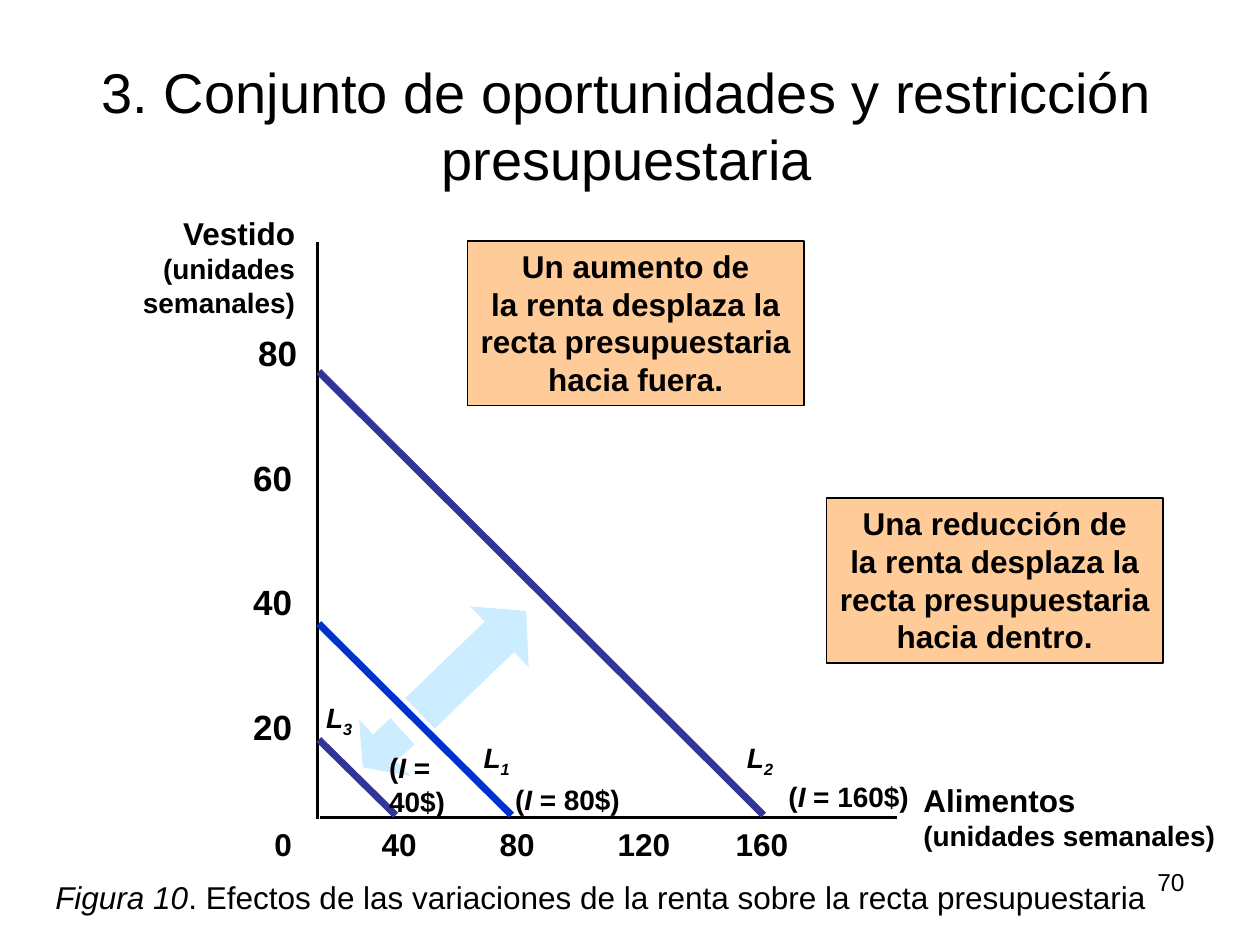
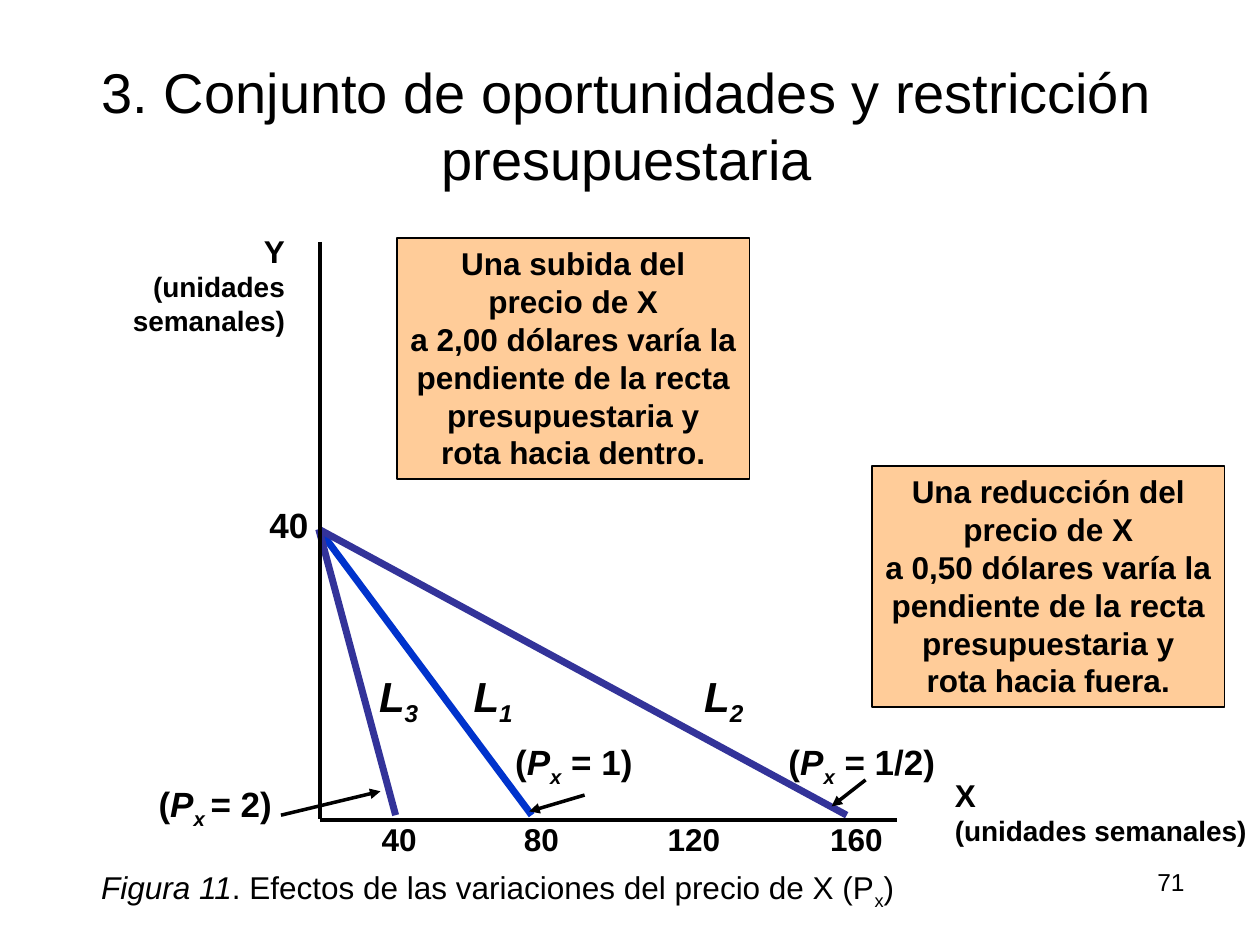
import pptx
import pptx.dml.color
import pptx.enum.shapes
import pptx.enum.text
import pptx.oxml
import pptx.oxml.ns
import pptx.util
from pptx.util import Inches

# Shared style
FONT = "Arial"
BLACK, PEACH, SKY = "000000", "FFCC99", "CCECFF"
INDIGO, BLUE = "333399", "0033CC"
TITLE = "3. Conjunto de oportunidades y restricción presupuestaria"
UNITS = "(unidades semanales)"
LEFT = pptx.enum.text.PP_ALIGN.LEFT
CENTER = pptx.enum.text.PP_ALIGN.CENTER
RIGHT = pptx.enum.text.PP_ALIGN.RIGHT


def color(value):
    return pptx.dml.color.RGBColor.from_string(value)


def add_run(paragraph, text, size, bold=False, style=""):
    """Style letters: i = italic, s = subscript."""
    run = paragraph.add_run()
    run.text = text
    font = run.font
    font.name = FONT
    font.size = pptx.util.Pt(size)
    font.bold = bold
    font.italic = "i" in style
    font.color.rgb = color(BLACK)
    if "s" in style:
        run._r.get_or_add_rPr().set("baseline", "-25000")


def fill_text(frame, lines, align=LEFT, bold=True, wrap=False):
    """Each line is a pair: size and a list of (text, style) runs."""
    frame.word_wrap = wrap
    frame.auto_size = pptx.enum.text.MSO_AUTO_SIZE.SHAPE_TO_FIT_TEXT
    for index, (size, runs) in enumerate(lines):
        paragraph = frame.add_paragraph() if index else frame.paragraphs[0]
        paragraph.alignment = align
        for text, style in runs:
            add_run(paragraph, text, size, bold, style)


def add_text(slide, left, top, width, height, lines, **options):
    box = slide.shapes.add_textbox(Inches(left), Inches(top), Inches(width), Inches(height))
    fill_text(box.text_frame, lines, **options)
    return box


def add_tick(slide, left, top, text, size=18):
    width = {1: 0.34, 2: 0.48, 3: 0.63}[len(text)] + (size - 18) * 0.015
    add_text(slide, left, top, width, size * 0.0165 + 0.1, [(size, [(text, "")])])


def add_line(slide, start, end, line_color=BLACK, width=2, arrow=False):
    connector = slide.shapes.add_connector(
        pptx.enum.shapes.MSO_CONNECTOR.STRAIGHT,
        *(Inches(value) for value in (*start, *end)))
    connector.line.color.rgb = color(line_color)
    connector.line.width = pptx.util.Pt(width)
    properties = connector._element.spPr
    if arrow:
        head = pptx.oxml.parse_xml(
            f'<a:tailEnd {pptx.oxml.ns.nsdecls("a")} type="triangle"/>')
        connector.line._get_or_add_ln().append(head)
    properties.append(pptx.oxml.parse_xml(
        f'<a:effectLst {pptx.oxml.ns.nsdecls("a")}/>'))


def paint(shape, fill, outline=None):
    shape.shadow.inherit = False
    shape.fill.solid()
    shape.fill.fore_color.rgb = color(fill)
    if outline:
        shape.line.color.rgb = color(outline)
        shape.line.width = pptx.util.Pt(1)
    else:
        shape.line.fill.background()


def add_callout(slide, left, top, width, height, lines):
    box = slide.shapes.add_shape(
        pptx.enum.shapes.MSO_SHAPE.RECTANGLE,
        Inches(left), Inches(top), Inches(width), Inches(height))
    paint(box, PEACH, BLACK)
    fill_text(box.text_frame, [(18, [(line, "")]) for line in lines], align=CENTER)
    box.text_frame.vertical_anchor = pptx.enum.text.MSO_ANCHOR.TOP


def add_curve_name(slide, left, top, number, size):
    width, height = (0.42, 0.36) if size == 16 else (0.52, 0.5)
    add_text(slide, left, top, width, height, [(size, [("L", "i"), (number, "is")])])


def add_axis_titles(slide, vertical, vertical_at, horizontal, horizontal_at):
    add_text(slide, *vertical_at, 1.44, 0.93,
             [(18, [(vertical, "")]), (16, [(UNITS, "")])], align=RIGHT, wrap=True)
    add_text(slide, *horizontal_at, 2.52, 0.66,
             [(18, [(horizontal, "")]), (16, [(UNITS, "")])])


def new_slide(presentation, number):
    slide = presentation.slides.add_slide(presentation.slide_layouts[5])
    title = slide.shapes.title
    title.left, title.top = Inches(0.24), Inches(0.72)
    title.width, title.height = Inches(9.47), Inches(0.85)
    frame = title.text_frame
    frame.auto_size = pptx.enum.text.MSO_AUTO_SIZE.NONE
    frame.vertical_anchor = pptx.enum.text.MSO_ANCHOR.BOTTOM
    frame.paragraphs[0].alignment = CENTER
    add_run(frame.paragraphs[0], TITLE, 32)
    add_text(slide, 7.17, 6.83, 2.33, 0.52, [(14, [(number, "")])],
             align=RIGHT, bold=False, wrap=True)
    return slide


def build_income_slide(presentation):
    slide = new_slide(presentation, "70")

    # Axes and scales
    add_line(slide, (2.52, 1.92), (2.52, 6.5))
    add_line(slide, (2.54, 6.49), (7.12, 6.49))
    add_tick(slide, 2.08, 6.5, "0")
    for index, label in enumerate(("40", "80", "120", "160")):
        add_tick(slide, 2.93 + 0.937 * index, 6.5, label)
    for index, label in enumerate(("20", "40", "60", "80")):
        add_tick(slide, 1.95 if label == "80" else 1.91, 5.55 - 0.99 * index, label, 20)

    # Higher income
    add_line(slide, (2.53, 2.95), (6.06, 6.47), INDIGO, 4)
    outward = slide.shapes.add_shape(
        pptx.enum.shapes.MSO_SHAPE.RIGHT_ARROW,
        Inches(3.17), Inches(4.92), Inches(1.17), Inches(0.67))
    outward.adjustments[0], outward.adjustments[1] = 0.5, 0.44
    outward.rotation = 316
    paint(outward, SKY)
    add_callout(slide, 3.71, 1.91, 2.67, 1.31,
                ["Un aumento de", "la renta desplaza la",
                 "recta presupuestaria", "hacia fuera."])
    add_text(slide, 6.16, 6.14, 1.16, 0.36,
             [(16, [("(", ""), ("I", "i"), (" = 160$)", "")])])
    add_curve_name(slide, 5.83, 5.83, "2", 16)

    # Initial income
    add_line(slide, (2.53, 4.95), (4.06, 6.47), BLUE, 4)
    add_text(slide, 3.99, 6.16, 1.03, 0.36,
             [(16, [("(", ""), ("I", "i"), (" = 80$)", "")])])
    add_curve_name(slide, 3.74, 5.83, "1", 16)

    # Lower income
    add_line(slide, (2.53, 5.87), (3.14, 6.47), INDIGO, 4)
    corners = [(2.85, 5.71), (2.96, 5.83), (3.1, 5.7), (3.29, 5.91),
               (3.14, 6.04), (3.26, 6.16), (2.88, 6.09)]
    points = [(Inches(x), Inches(y)) for x, y in corners]
    builder = slide.shapes.build_freeform(*points[0])
    builder.add_line_segments(points[1:], close=True)
    paint(builder.convert_to_shape(), SKY)
    add_curve_name(slide, 2.49, 5.51, "3", 16)
    add_text(slide, 2.99, 5.91, 0.64, 0.63,
             [(16, [("(", ""), ("I", "i"), (" =", "")]), (16, [("40$)", "")])])
    add_callout(slide, 6.56, 3.95, 2.67, 1.31,
                ["Una reducción de", "la renta desplaza la",
                 "recta presupuestaria", "hacia dentro."])

    # Axis titles and caption
    add_axis_titles(slide, "Vestido", (1, 1.65), "Alimentos", (7.23, 6.15))
    add_text(slide, 0.34, 6.92, 9.15, 0.4,
             [(18, [("Figura 10", "i"),
                    (". Efectos de las variaciones de la renta sobre la recta presupuestaria", "")])],
             bold=False, wrap=True)


def build_price_slide(presentation):
    slide = new_slide(presentation, "71")
    caption = add_text(
        slide, 2.91, 6.81, 2.08, 0.5,
        [(18, [("Figura 11", "i"), (". Efectos de las variaciones del precio de X (P", ""),
               ("x", "s"), (")", "")])], align=CENTER, bold=False)
    caption.text_frame.auto_size = pptx.enum.text.MSO_AUTO_SIZE.NONE
    caption.text_frame.vertical_anchor = pptx.enum.text.MSO_ANCHOR.MIDDLE

    # Horizontal axis and scales
    add_line(slide, (2.54, 6.51), (7.12, 6.51))
    for left, label in ((2.93, "40"), (4.06, "80"), (5.2, "120"), (6.49, "160")):
        add_tick(slide, left, 6.46, label)
    add_tick(slide, 2.04, 3.95, "40", 20)

    # Callouts
    for left, top, change, price, turn in (
            (3.15, 1.89, "Una subida del", "2,00", "dentro"),
            (6.92, 3.7, "Una reducción del", "0,50", "fuera")):
        add_callout(slide, left, top, 2.8, 1.91,
                    [change, "precio de X", f"a {price} dólares varía la",
                     "pendiente de la recta", "presupuestaria y",
                     f"rota hacia {turn}."])

    # Budget lines: number, name left, foot, colour, price label and its pointer
    curves = [
        ("1", 3.66, 4.22, BLUE, (3.99, 5.83, 1.14), ("x", " = 1)"), (4.64, 6.31), (4.2, 6.44)),
        ("3", 2.91, 3.14, INDIGO, (1.16, 6.16, 1.11), ("x ", "= 2)"), (2.23, 6.47), (3.02, 6.28)),
        ("2", 5.49, 6.72, INDIGO, (6.16, 5.83, 1.37), ("x", " = 1/2)"), (6.87, 6.19), (6.6, 6.4)),
    ]
    for number, name_left, foot, line_color, label_at, (index, value), start, end in curves:
        add_line(slide, (2.53, 4.2), (foot, 6.47), line_color, 4)
        add_curve_name(slide, name_left, 5.27, number, 24)
        add_text(slide, *label_at, 0.43,
                 [(20, [("(", ""), ("P", "i"), (index, "is"), (value, "")])])
        add_line(slide, start, end, arrow=True)

    # Vertical axis and axis titles
    add_line(slide, (2.54, 1.92), (2.54, 6.5))
    add_axis_titles(slide, "Y", (0.92, 1.79), "X", (7.48, 6.11))


def main():
    presentation = pptx.Presentation()
    presentation.slide_width, presentation.slide_height = Inches(10), Inches(7.5)
    build_income_slide(presentation)
    build_price_slide(presentation)
    presentation.save("out.pptx")


if __name__ == "__main__":
    main()
